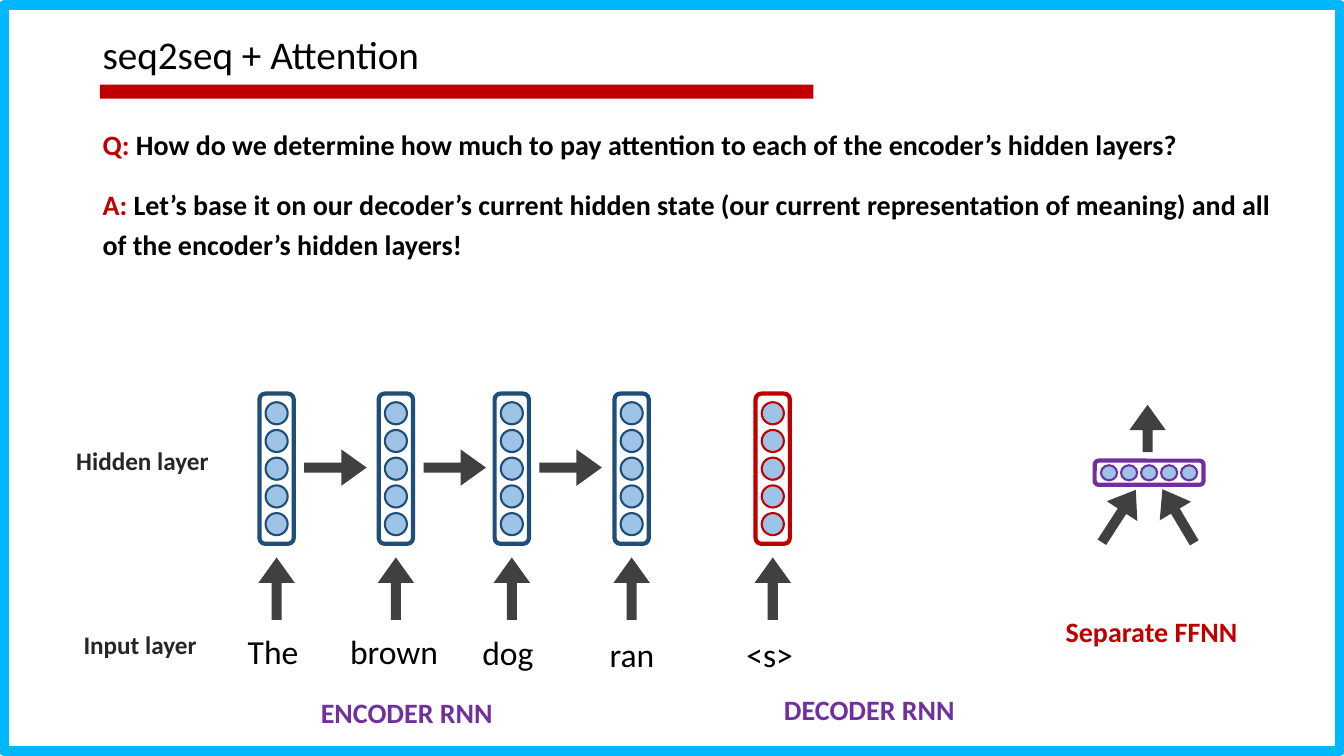
"""Build the slide on attention weights in a sequence-to-sequence model."""
import pptx
import pptx.dml.color
import pptx.enum.shapes
import pptx.enum.text
import pptx.util

Pt = pptx.util.Pt
SHAPE = pptx.enum.shapes.MSO_SHAPE
ALIGN = pptx.enum.text.PP_ALIGN

COLOURS = {
    "white": "FFFFFF",
    "black": "000000",
    "frame": "00B6FC",
    "red": "C00000",
    "label": "262626",
    "purple": "7030A0",
    "navy": "1F4E79",
    "neuron": "9DC3E6",
    "arrow": "404040",
}
NEURON_COUNT = 5
STATE_Y = 334.8
INPUT_ARROW_Y = 420.5


def colour(name):
    return pptx.dml.color.RGBColor.from_string(COLOURS[name])


def add_box(shapes, kind, center_x, center_y, width, height, fill=None, line=None, weight=0):
    shape = shapes.add_shape(
        kind, Pt(center_x - width / 2), Pt(center_y - height / 2), Pt(width), Pt(height)
    )
    shape.shadow.inherit = False
    if fill:
        shape.fill.solid()
        shape.fill.fore_color.rgb = colour(fill)
    else:
        shape.fill.background()
    if line:
        shape.line.color.rgb = colour(line)
        shape.line.width = Pt(weight)
    else:
        shape.line.fill.background()
    return shape


def add_arrow(shapes, center_x, center_y, rotation=0, length=44.6):
    arrow = add_box(shapes, SHAPE.RIGHT_ARROW, center_x, center_y, length, 26, "arrow")
    arrow.adjustments[0] = 0.276
    arrow.adjustments[1] = 0.696
    arrow.rotation = rotation


def add_layer(shapes, center_x, center_y, size, neuron_size, step, line):
    group = shapes.add_group_shape().shapes
    add_box(group, SHAPE.ROUNDED_RECTANGLE, center_x, center_y, *size, None, line, 3)
    step_x, step_y = step
    for index in range(NEURON_COUNT):
        offset = index - NEURON_COUNT // 2
        add_box(group, SHAPE.OVAL, center_x + offset * step_x, center_y + offset * step_y,
                *neuron_size, "neuron", line, 1.5)


def add_text(shapes, box, runs, size, align=ALIGN.LEFT, bold=False, spacing=1.2):
    text_frame = shapes.add_textbox(*map(Pt, box)).text_frame
    text_frame.word_wrap = True
    paragraph = text_frame.paragraphs[0]
    paragraph.alignment = align
    paragraph.line_spacing = spacing
    for text, name in runs:
        run = paragraph.add_run()
        run.text = text
        run.font.name = "Calibri"
        run.font.size = Pt(size)
        run.font.bold = bold
        run.font.color.rgb = colour(name)


def add_statements(shapes):
    add_box(shapes, SHAPE.RECTANGLE, 326.2, 65.5, 509.8, 10.1, "red")
    add_text(shapes, (66.2, 21.6, 704, 54), [("seq2seq + Attention", "black")], 28, spacing=0.9)
    question = "How do we determine how much to pay attention to each of the encoder’s hidden layers?"
    answer = ("Let’s base it on our decoder’s current hidden state (our current representation "
              "of meaning) and all of the encoder’s hidden layers!")
    for letter, text, top, height in (("Q: ", question, 82.8, 37.4), ("A: ", answer, 125.3, 67)):
        add_text(shapes, (66.2, top, 849.6, height),
                 [(letter, "red"), (text, "black")], 20, bold=True)


def add_networks(shapes):
    encoder_xs = (197.6, 282.8, 365.6, 451.2)
    decoder_x = 552
    for center_x in (*encoder_xs, decoder_x):
        line = "red" if center_x == decoder_x else "navy"
        add_layer(shapes, center_x, STATE_Y, (24.5, 107.3), (15.8, 15.8), (0, 19.8), line)
        add_arrow(shapes, center_x, INPUT_ARROW_Y, 270)
    for center_x in encoder_xs[:-1]:
        add_arrow(shapes, center_x + 42, 334)


def add_feed_forward(shapes):
    add_arrow(shapes, 799.2, 368.6, 302.9)
    add_arrow(shapes, 841.7, 368.6, 239.3)
    add_layer(shapes, 820.8, 337.7, (77.8, 17.3), (11.5, 10.8), (14.3, 0), "purple")
    add_arrow(shapes, 819.7, 306, 270, 33.8)


def add_labels(shapes):
    for text, left, top, width in (("Input layer", 27.4, 441.4, 120.2),
                                   ("Hidden layer", 19.4, 310.3, 136.8)):
        add_text(shapes, (left, top, width, 37.4), [(text, "label")], 18, ALIGN.RIGHT, True)
    for text, left, top, width, align in (
        ("The", 164.9, 441.4, 55.4, ALIGN.RIGHT),
        ("brown", 232.6, 441.4, 97.9, ALIGN.CENTER),
        ("dog", 313.9, 442.1, 97.9, ALIGN.CENTER),
        ("ran", 402.5, 443.5, 97.9, ALIGN.CENTER),
        ("<s>", 521.3, 443.5, 56.9, ALIGN.CENTER),
    ):
        add_text(shapes, (left, top, width, 39.6), [(text, "black")], 24, align)
    for text, left, top, name in (
        ("ENCODER RNN", 189.4, 488.2, "purple"),
        ("DECODER RNN", 519.8, 486, "purple"),
        ("Separate FFNN", 721.4, 430.6, "red"),
    ):
        add_text(shapes, (left, top, 202.3, 37.4), [(text, name)], 20, ALIGN.CENTER, True)


def main():
    presentation = pptx.Presentation()
    presentation.slide_width = Pt(960)
    presentation.slide_height = Pt(540)
    slide = presentation.slides.add_slide(presentation.slide_layouts[6])
    shapes = slide.shapes
    add_box(shapes, SHAPE.RECTANGLE, 480, 270, 954, 532.8, "white", "frame", 7)
    add_statements(shapes)
    add_networks(shapes)
    add_feed_forward(shapes)
    add_labels(shapes)
    presentation.save("out.pptx")


if __name__ == "__main__":
    main()
